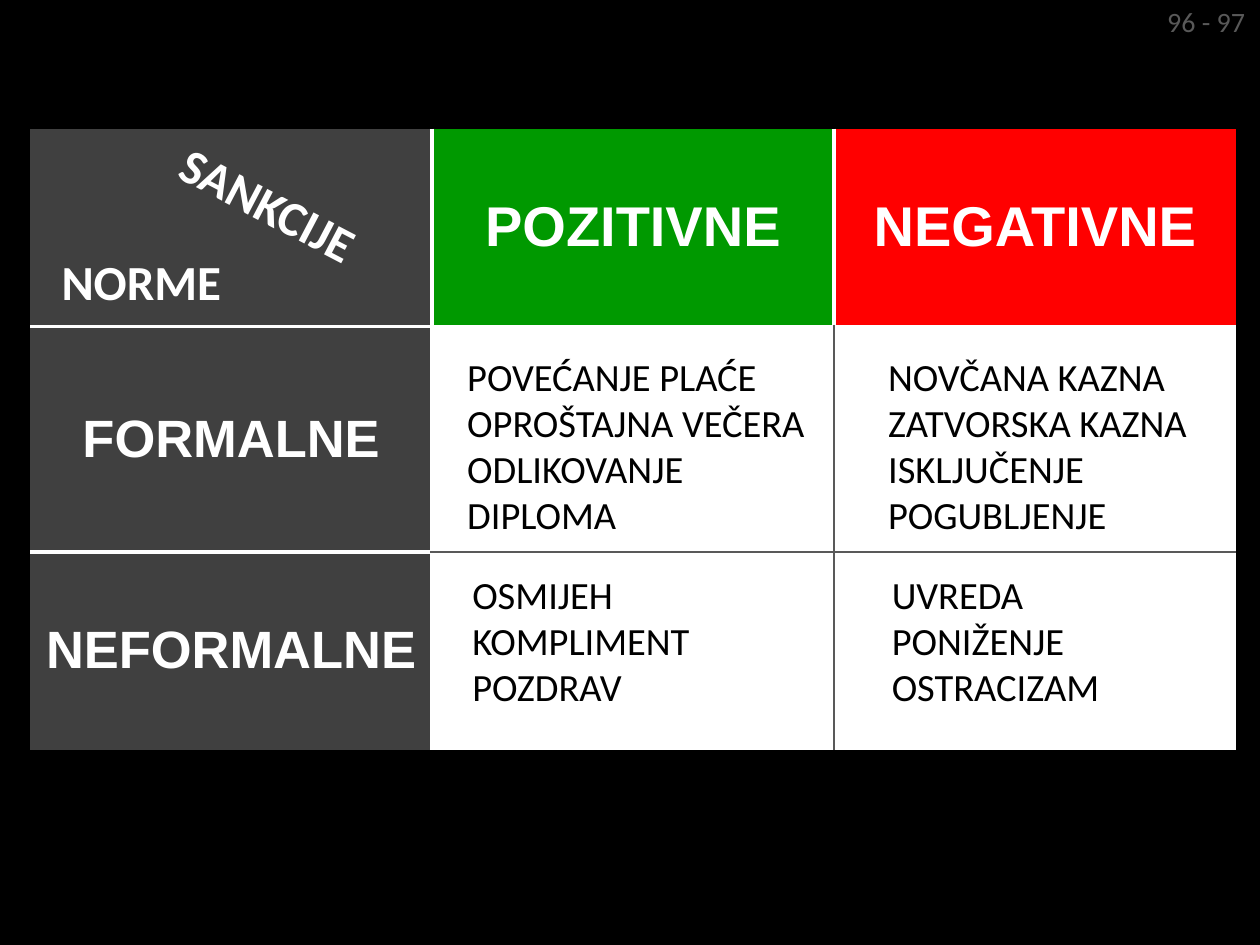
from lxml.etree import SubElement
from pptx import Presentation
from pptx.dml.color import RGBColor
from pptx.enum.text import MSO_ANCHOR, MSO_AUTO_SIZE, PP_ALIGN
from pptx.oxml.ns import qn
from pptx.util import Inches, Pt

WHITE, BLACK, DARK, GRAY = "FFFFFF", "000000", "404040", "595959"
GREEN, RED = "009900", "FF0000"
LEFT, TOP, COL_WIDTH = 0.24, 1.02, 3.19
ROW_HEIGHTS = [1.57, 1.79, 1.57]

CELLS = [
    [("", DARK, 30), ("POZITIVNE", GREEN, 32), ("NEGATIVNE", RED, 32)],
    [("FORMALNE", DARK, 30), ("", WHITE, 22), ("", WHITE, 22)],
    [("NEFORMALNE", DARK, 30), ("", WHITE, 22), ("", WHITE, 22)],
]
CORNER_LABELS = [
    ("SANKCIJE", (1.25, 1.47, 2.28, 0.57), 27.7),
    ("NORME", (0.39, 1.95, 1.83, 0.57), 0),
]
EXAMPLES = [
    (["POVEĆANJE PLAĆE", "OPROŠTAJNA VEČERA", "ODLIKOVANJE", "DIPLOMA"], (3.61, 2.75, 3.31, 1.58)),
    (["NOVČANA KAZNA", "ZATVORSKA KAZNA", "ISKLJUČENJE", "POGUBLJENJE"], (6.95, 2.75, 3.09, 1.58)),
    (["OSMIJEH", "KOMPLIMENT", "POZDRAV"], (3.65, 4.48, 2.49, 1.21)),
    (["UVREDA", "PONIŽENJE", "OSTRACIZAM"], (6.98, 4.48, 2.44, 1.21)),
]
PAGES = ("96 - 97", (9.15, -0.01, 0.83, 0.37))


def rgb(color):
    """Turn a hex string into a colour."""
    return RGBColor.from_string(color)


def add_run(p, text, font, size, color, bold=False):
    """Add one formatted run to a paragraph."""
    r = p.add_run()
    r.text = text
    r.font.name, r.font.size, r.font.bold = font, Pt(size), bold
    r.font.color.rgb = rgb(color)


def add_text(s, lines, box, size, color, bold=False, rotation=0, align=PP_ALIGN.LEFT, wrap=True):
    """Add a text box with one paragraph per line."""
    sp = s.shapes.add_textbox(*map(Inches, box))
    sp.rotation = rotation
    tf = sp.text_frame
    tf.word_wrap = wrap
    tf.auto_size = MSO_AUTO_SIZE.SHAPE_TO_FIT_TEXT
    for i, line in enumerate(lines):
        p = tf.add_paragraph() if i else tf.paragraphs[0]
        p.alignment = align
        add_run(p, line, "Calibri", size, color, bold)


def set_borders(cell, row, col):
    """Draw inner borders, thick and white beside the headings, thin and gray elsewhere."""
    last = len(CELLS) - 1
    edges = {
        "L": (col > 0, row == 0 or col == 1),
        "R": (col < last, row == 0 or col == 0),
        "T": (row > 0, col == 0 or row == 1),
        "B": (row < last, col == 0 or row == 0),
    }
    for side, (inner, heading) in edges.items():
        color, width = (WHITE, 2.25) if heading else (GRAY, 1)
        ln = SubElement(cell._tc.get_or_add_tcPr(), qn(f"a:ln{side}"), w=str(Pt(width)))
        if inner:
            SubElement(SubElement(ln, qn("a:solidFill")), qn("a:srgbClr"), val=color)
        else:
            SubElement(ln, qn("a:noFill"))


def add_grid(s):
    """Add the table of norms and sanctions."""
    n = len(CELLS)
    table = s.shapes.add_table(n, n, Inches(LEFT), Inches(TOP), Inches(n * COL_WIDTH),
                               Inches(sum(ROW_HEIGHTS))).table
    table.first_row = table.horz_banding = False
    for column in table.columns:
        column.width = Inches(COL_WIDTH)
    for i, row in enumerate(CELLS):
        table.rows[i].height = Inches(ROW_HEIGHTS[i])
        for j, (text, fill, size) in enumerate(row):
            cell = table.cell(i, j)
            set_borders(cell, i, j)
            cell.fill.solid()
            cell.fill.fore_color.rgb = rgb(fill)
            cell.vertical_anchor = MSO_ANCHOR.MIDDLE
            cell.margin_left = cell.margin_right = Inches(0.11)
            if text:
                p = cell.text_frame.paragraphs[0]
                p.alignment = PP_ALIGN.CENTER
                if i == n - 1:
                    p.space_before = Pt(12)
                add_run(p, text, "Arial", size, WHITE, True)


def main():
    """Build the slide and save it."""
    prs = Presentation()
    prs.slide_width, prs.slide_height = Inches(10), Inches(7.5)
    s = prs.slides.add_slide(prs.slide_layouts[6])
    s.background.fill.solid()
    s.background.fill.fore_color.rgb = rgb(BLACK)
    add_grid(s)
    for text, box, rotation in CORNER_LABELS:
        add_text(s, [text], box, 28, WHITE, True, rotation)
    for lines, box in EXAMPLES:
        add_text(s, lines, box, 22, BLACK)
    text, box = PAGES
    add_text(s, [text], box, 16, GRAY, align=PP_ALIGN.RIGHT, wrap=False)
    prs.save("out.pptx")


if __name__ == "__main__":
    main()
